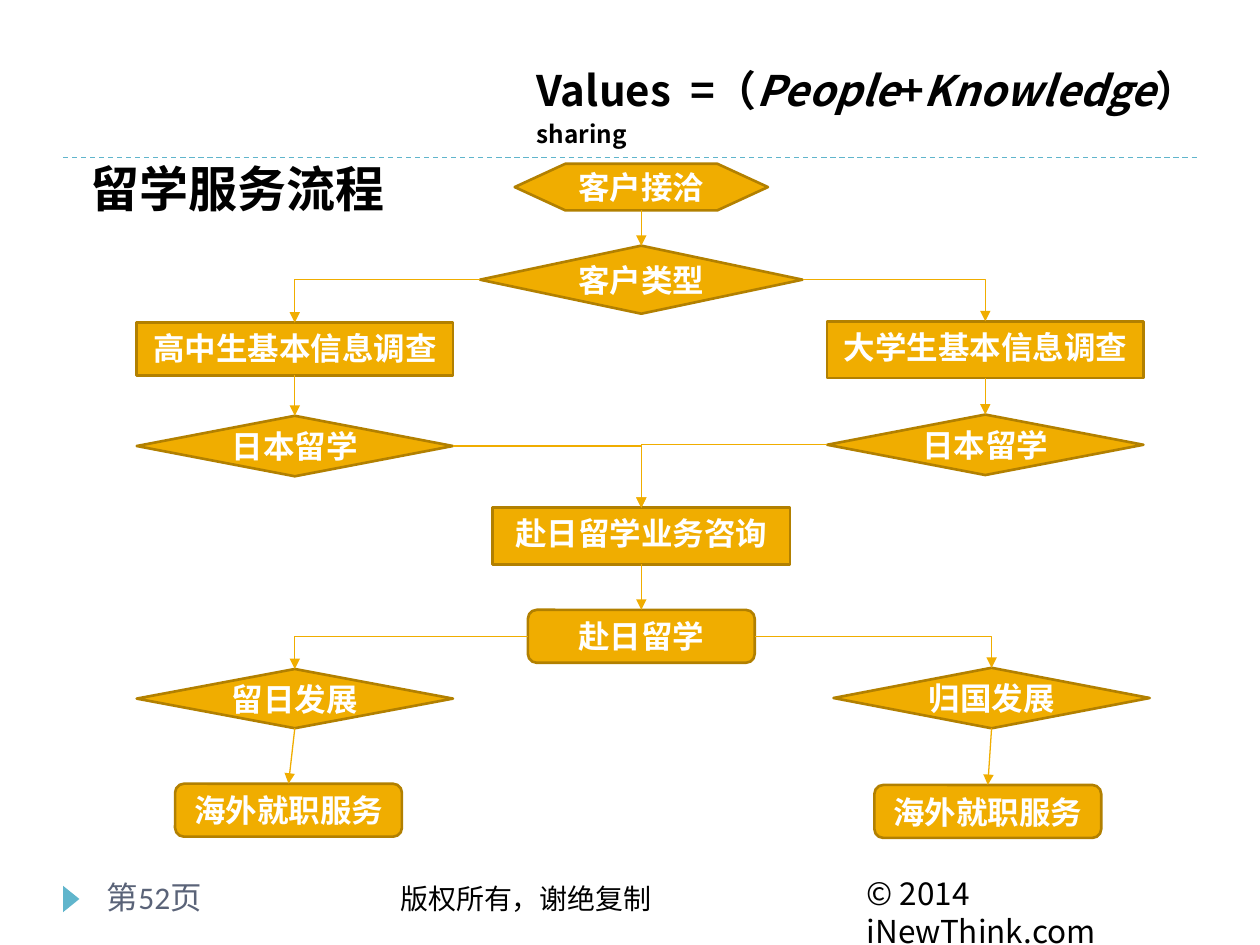
"""Build the study-abroad service flowchart slide."""
from lxml.etree import SubElement
from pptx import Presentation
from pptx.dml.color import RGBColor as Rgb
from pptx.enum.dml import MSO_LINE as Dash
from pptx.enum.shapes import MSO_CONNECTOR as Conn, MSO_SHAPE as Shape
from pptx.enum.text import MSO_ANCHOR as Anchor, PP_ALIGN as Align
from pptx.oxml.ns import qn
from pptx.util import Inches, Pt

HUES = {"gold": "F0AD00", "edge": "B28000", "teal": "60B5CC",
        "slate": "5A6378", "black": "000000", "white": "FFFFFF"}
HUE = {name: Rgb.from_string(code) for name, code in HUES.items()}
NOTO = "Noto Sans CJK SC"


def write(para, text, hue, base=0, **form):
    run = para.add_run()
    run.text = text
    for key, value in form.items():
        setattr(run.font, key, value)
    run.font.color.rgb = HUE[hue]
    props = run._r.get_or_add_rPr()
    SubElement(props, qn("a:ea"), typeface=NOTO)
    if base:
        props.set("baseline", str(base * 1000))


def link(kind, start, end, hue, arrow=True):
    line = shapes.add_connector(kind, *start, *end)
    line.line.color.rgb = HUE[hue]
    line.line.width = Pt(0.75)
    if arrow:
        SubElement(line.line._get_or_add_ln(), qn("a:tailEnd"), type="triangle")
    SubElement(line._element.spPr, qn("a:effectLst"))
    return line


deck = Presentation()
deck.slide_width, deck.slide_height = Inches(10), Inches(7.5)
shapes = deck.slides.add_slide(deck.slide_layouts[6]).shapes

rule = link(Conn.STRAIGHT, (Inches(0.5), Inches(1.25)),
            (Inches(9.5), Inches(1.25)), "teal", arrow=False)
rule.line.dash_style = Dash.DASH

mark = shapes.add_shape(Shape.ISOSCELES_TRIANGLE, Inches(0.46), Inches(7.07),
                        Inches(0.21), Inches(0.13))
mark.rotation = 90
mark.shadow.inherit = False
mark.fill.solid()
mark.fill.fore_color.rgb = HUE["teal"]
mark.line.fill.background()

bold = dict(name=NOTO, size=Pt(24), bold=True)
motto = [("Values  =（", {}), ("People", {"italic": True}), ("+", {}),
         ("Knowledge", {"italic": True}), ("）", {}), ("sharing", {"base": 30})]
labels = [
    ((6.78, 6.89, 2.72, 0.4), "black",
     [("© 2014 iNewThink.com", dict(name=NOTO, size=Pt(18)))]),
    ((3.08, 6.95, 3.33, 0.4), "black",
     [("版权所有，谢绝复制", dict(name="Arial", size=Pt(16)))]),
    ((4.16, 0.46, 5.56, 0.5), "black",
     [(text, {**bold, **form}) for text, form in motto]),
    ((0.75, 6.92, 1.66, 0.4), "slate",
     [("第52页", dict(name="Calibri", size=Pt(18)))]),
    ((0.62, 1.21, 8.62, 0.58), "black",
     [("留学服务流程", dict(name="TeX Gyre Bonum", size=Pt(28), bold=True))]),
]
for area, hue, runs in labels:
    frame = shapes.add_textbox(*map(Inches, area)).text_frame
    frame.word_wrap = True
    for text, form in runs:
        write(frame.paragraphs[0], text, hue, **form)

LEFT, MID, RIGHT, HOME = 2.34, 5.09, 7.82, 7.87
BOX, GEM = Shape.RECTANGLE, Shape.DIAMOND
PREP, ALT = Shape.FLOWCHART_PREPARATION, Shape.FLOWCHART_ALTERNATE_PROCESS
nodes = {
    "contact": (PREP, MID, 1.3, 2.01, 0.37, "客户接洽", "Calibri"),
    "type": (GEM, MID, 1.95, 2.56, 0.54, "客户类型", "Calibri"),
    "school": (BOX, LEFT, 2.56, 2.51, 0.42, "高中生基本信息调查", NOTO),
    "college": (BOX, RIGHT, 2.55, 2.51, 0.45, "大学生基本信息调查", NOTO),
    "japan a": (GEM, LEFT, 3.3, 2.51, 0.48, "日本留学", "Calibri"),
    "japan b": (GEM, RIGHT, 3.29, 2.51, 0.48, "日本留学", NOTO),
    "advice": (BOX, MID, 4.03, 2.36, 0.45, "赴日留学业务咨询", NOTO),
    "study": (ALT, MID, 4.84, 1.8, 0.42, "赴日留学", "Calibri"),
    "stay": (GEM, LEFT, 5.31, 2.51, 0.47, "留日发展", NOTO),
    "return": (GEM, HOME, 5.3, 2.51, 0.48, "归国发展", NOTO),
    "job a": (ALT, LEFT - 0.05, 6.22, 1.8, 0.42, "海外就职服务", "Calibri"),
    "job b": (ALT, HOME - 0.03, 6.23, 1.8, 0.42, "海外就职服务", "Calibri"),
}
nodes["job a"] = (ALT, LEFT - 0.05, *nodes["job a"][2:])
made = {}
for name, (kind, mid, top, wide, high, text, face) in nodes.items():
    node = shapes.add_shape(kind, Inches(mid - wide / 2), Inches(top),
                            Inches(wide), Inches(high))
    node.shadow.inherit = False
    node.fill.solid()
    node.fill.fore_color.rgb = HUE["gold"]
    node.line.color.rgb = HUE["edge"]
    node.line.width = Pt(1.5)
    frame = node.text_frame
    frame.word_wrap = False
    frame.vertical_anchor = Anchor.TOP if kind == BOX else Anchor.MIDDLE
    para = frame.paragraphs[0]
    para.alignment = Align.CENTER
    write(para, text, "white", name=face, size=Pt(18), bold=True)
    made[name] = node

for up, down in [("contact", "type"), ("school", "japan a"),
                 ("college", "japan b"), ("advice", "study"),
                 ("stay", "job a"), ("return", "job b")]:
    line = link(Conn.STRAIGHT, (0, 0), (0, 0), "gold")
    line.begin_connect(made[up], 2)
    line.end_connect(made[down], 0)

for name, goal in [("type", "school"), ("type", "college"),
                   ("japan a", "advice"), ("japan b", "advice"),
                   ("study", "stay"), ("study", "return")]:
    one, two = made[name], made[goal]
    end = two.left + two.width // 2
    edge = one.left + one.width if end > one.left else one.left
    line = link(Conn.ELBOW, (edge, one.top + one.height // 2),
                (end, two.top), "gold")
    line._element.spPr.find(qn("a:prstGeom")).set("prst", "bentConnector2")

deck.save("out.pptx")
